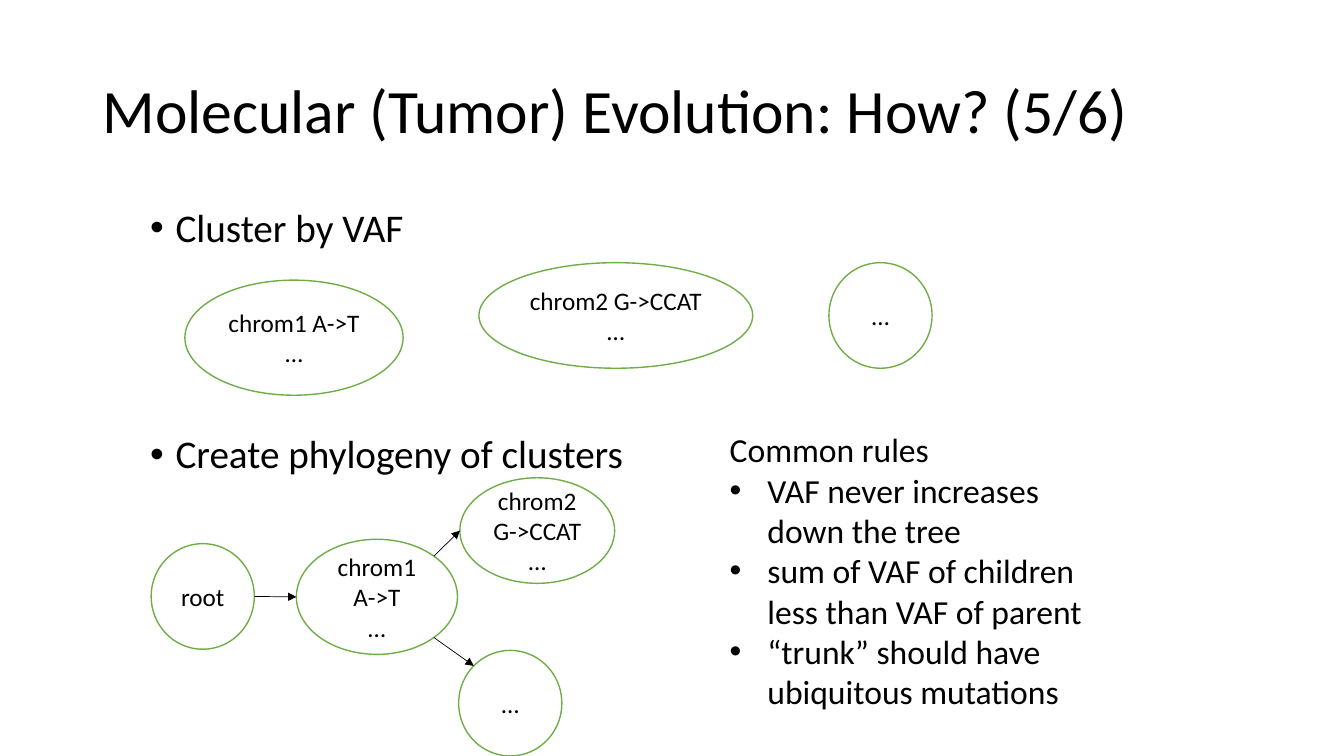
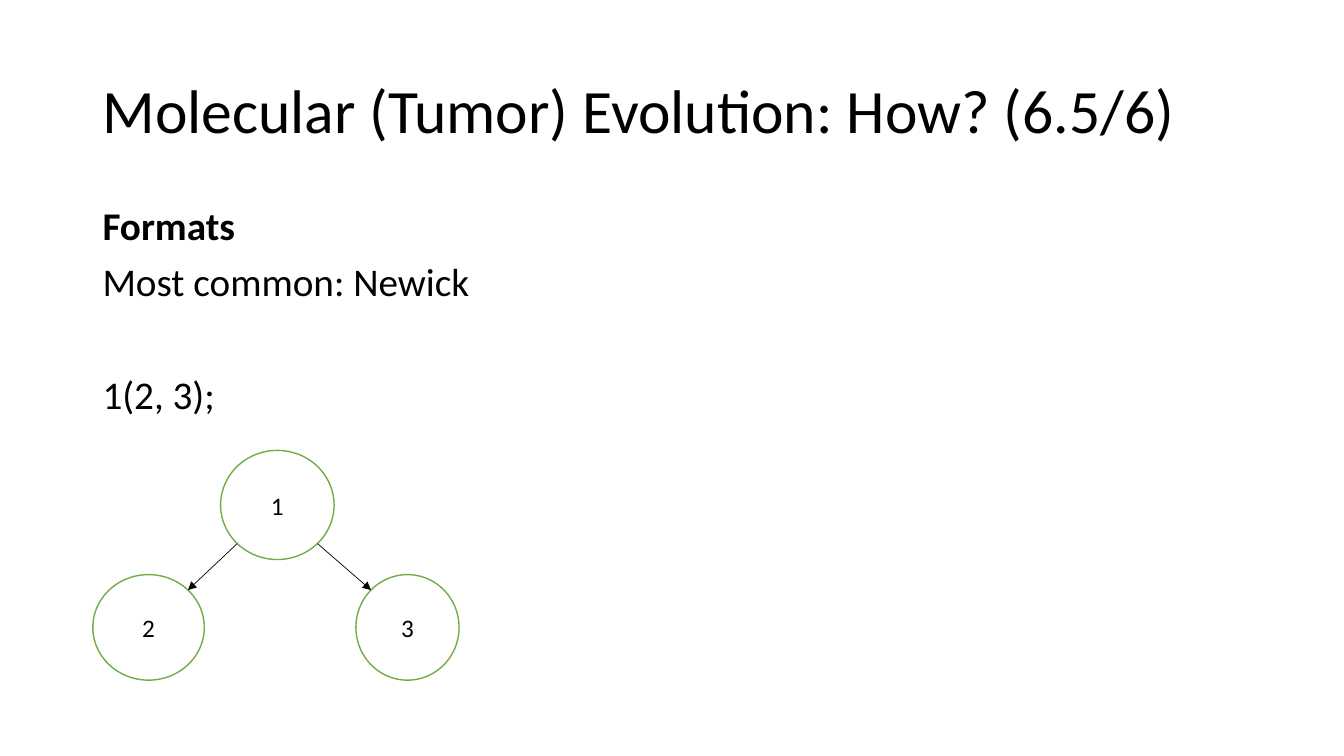
from dataclasses import dataclass
from math import cos, radians, sin

from pptx import Presentation
from pptx.dml.color import RGBColor
from pptx.enum.shapes import MSO_CONNECTOR as CONN, MSO_SHAPE as SHAPE
from pptx.enum.text import MSO_ANCHOR as ANCHOR, MSO_AUTO_SIZE as FIT, PP_ALIGN as ALIGN
from pptx.oxml.ns import qn
from pptx.util import Cm, Pt
from lxml.etree import SubElement


@dataclass(frozen=True)
class Theme:
    font: str = "Calibri"
    ink: RGBColor = RGBColor(0x00, 0x00, 0x00)
    paper: RGBColor = RGBColor(0xFF, 0xFF, 0xFF)
    green: RGBColor = RGBColor(0x70, 0xAD, 0x47)
    title: int = 44
    body: int = 28
    rules: int = 24
    node: int = 18
    outline: float = 1
    arrow: float = 0.5


THEME = Theme()
CIRCLE = (2.6, 2.66)
LINE_GAP = 10       # points above a body paragraph
BODY_LINE = 40.5    # points one body line takes, gap included

# Directions on an ellipse, in degrees clockwise from the right
RIGHT, LOWER_RIGHT, LOWER_LEFT, LEFT, UPPER_LEFT, UPPER_RIGHT = 0, 45, 135, 180, 225, 315


# Text
def add_text(tf, text, size, bold=False, align=ALIGN.LEFT, before=0, spacing=1.0, indent=0):
    """Append a paragraph; an indent in cm gives it a hanging bullet."""
    p = tf.add_paragraph() if tf.text else tf.paragraphs[0]
    p.alignment, p.line_spacing = align, spacing
    p.space_before, p.space_after = Pt(before), Pt(0)
    r = p.add_run()
    r.text = text
    r.font.name, r.font.size, r.font.bold = THEME.font, Pt(size), bold
    r.font.color.rgb = THEME.ink
    pPr = p._p.get_or_add_pPr()
    pPr.set("marL", str(Cm(indent)))
    pPr.set("indent", str(-Cm(indent)))
    if indent:
        SubElement(pPr, qn("a:buFont")).set("typeface", "Arial")
        SubElement(pPr, qn("a:buChar")).set("char", "•")
    else:
        SubElement(pPr, qn("a:buNone"))


def add_body_text(tf, text, skip=0, **fmt):
    """Append a body paragraph, leaving room for skipped lines above it."""
    add_text(tf, text, THEME.body, before=LINE_GAP + skip * BODY_LINE, spacing=0.9, **fmt)


def place(sp, left, top, width, height):
    sp.left, sp.top, sp.width, sp.height = Cm(left), Cm(top), Cm(width), Cm(height)


def prepare_frame(sp, anchor):
    tf = sp.text_frame
    tf.word_wrap, tf.auto_size, tf.vertical_anchor = True, FIT.NONE, anchor
    return tf


# Slide with title and body placeholders
def add_slide(prs, title, left, top):
    s = prs.slides.add_slide(prs.slide_layouts[1])
    place(s.shapes.title, 2.33, 1.01, 29.21, 3.68)
    add_text(prepare_frame(s.shapes.title, ANCHOR.MIDDLE), title, THEME.title, spacing=0.9)
    body = s.placeholders[1]
    place(body, left, top, 29.21, 12.09)
    return s, prepare_frame(body, ANCHOR.TOP)


# Tree nodes and arrows
def add_node(s, lines, left, top, size=CIRCLE):
    sp = s.shapes.add_shape(SHAPE.OVAL, Cm(left), Cm(top), Cm(size[0]), Cm(size[1]))
    sp.shadow.inherit = False
    sp.fill.solid()
    sp.fill.fore_color.rgb = THEME.paper
    sp.line.color.rgb = THEME.green
    sp.line.width = Pt(THEME.outline)
    tf = prepare_frame(sp, ANCHOR.MIDDLE)
    for text in lines:
        add_text(tf, text, THEME.node, align=ALIGN.CENTER)
    return sp


def rim_point(sp, angle):
    a = radians(angle)
    return (round(sp.left + sp.width / 2 * (1 + cos(a))),
            round(sp.top + sp.height / 2 * (1 + sin(a))))


def add_arrow(s, parent, parent_angle, child, child_angle):
    arrow = s.shapes.add_connector(CONN.STRAIGHT, *rim_point(parent, parent_angle),
                                   *rim_point(child, child_angle))
    arrow.line.color.rgb = THEME.ink
    arrow.line.width = Pt(THEME.arrow)
    SubElement(arrow.line._get_or_add_ln(), qn("a:tailEnd")).set("type", "triangle")
    SubElement(arrow._element.spPr, qn("a:effectLst"))


# Slides
def add_clusters_slide(prs):
    s, tf = add_slide(prs, "Molecular (Tumor) Evolution: How? (5/6)", 3.53, 5.13)
    add_body_text(tf, "Cluster by VAF", indent=0.64)
    add_body_text(tf, "Create phylogeny of clusters", skip=3, indent=0.64)

    # Clusters
    add_node(s, ["chrom1 A->T", "…"], 4.66, 7.06, (5.5, 2.9))
    add_node(s, ["chrom2 G->CCAT", "…"], 12.07, 6.62, (6.9, 2.66))
    add_node(s, ["…"], 20.89, 6.62)

    # Phylogeny
    root = add_node(s, ["root"], 3.81, 13.7)
    chrom1 = add_node(s, ["chrom1 A->T", "…"], 7.47, 13.59, (4.06, 2.9))
    chrom2 = add_node(s, ["chrom2", "G->CCAT", "…"], 11.59, 12.04, (3.9, 2.66))
    other = add_node(s, ["…"], 11.56, 16.39)
    add_arrow(s, root, RIGHT, chrom1, LEFT)
    add_arrow(s, chrom1, UPPER_RIGHT, chrom2, LEFT)
    add_arrow(s, chrom1, LOWER_RIGHT, other, UPPER_LEFT)

    # Rules
    box = s.shapes.add_textbox(Cm(18.14), Cm(10.69), Cm(10.31), Cm(7.44))
    rules = prepare_frame(box, ANCHOR.TOP)
    add_text(rules, "Common rules", THEME.rules)
    for rule in ("VAF never increases down the tree",
                 "sum of VAF of children less than VAF of parent",
                 "“trunk” should have ubiquitous mutations"):
        add_text(rules, rule, THEME.rules, indent=0.95)


def add_formats_slide(prs):
    s, tf = add_slide(prs, "Molecular (Tumor) Evolution: How? (6.5/6)", 2.33, 5.07)
    add_body_text(tf, "Formats", bold=True)
    add_body_text(tf, "Most common: Newick")
    add_body_text(tf, "1(2, 3);", skip=1)

    # Tree
    parent = add_node(s, ["1"], 5.56, 11.35, (2.86, 2.75))
    left_child = add_node(s, ["2"], 2.34, 14.48, (2.81, 2.66))
    right_child = add_node(s, ["3"], 8.97, 14.48)
    add_arrow(s, parent, LOWER_LEFT, left_child, UPPER_RIGHT)
    add_arrow(s, parent, LOWER_RIGHT, right_child, UPPER_LEFT)


def main():
    prs = Presentation()
    prs.slide_width, prs.slide_height = Cm(33.87), Cm(19.05)
    add_clusters_slide(prs)
    add_formats_slide(prs)
    prs.save("out.pptx")


main()
